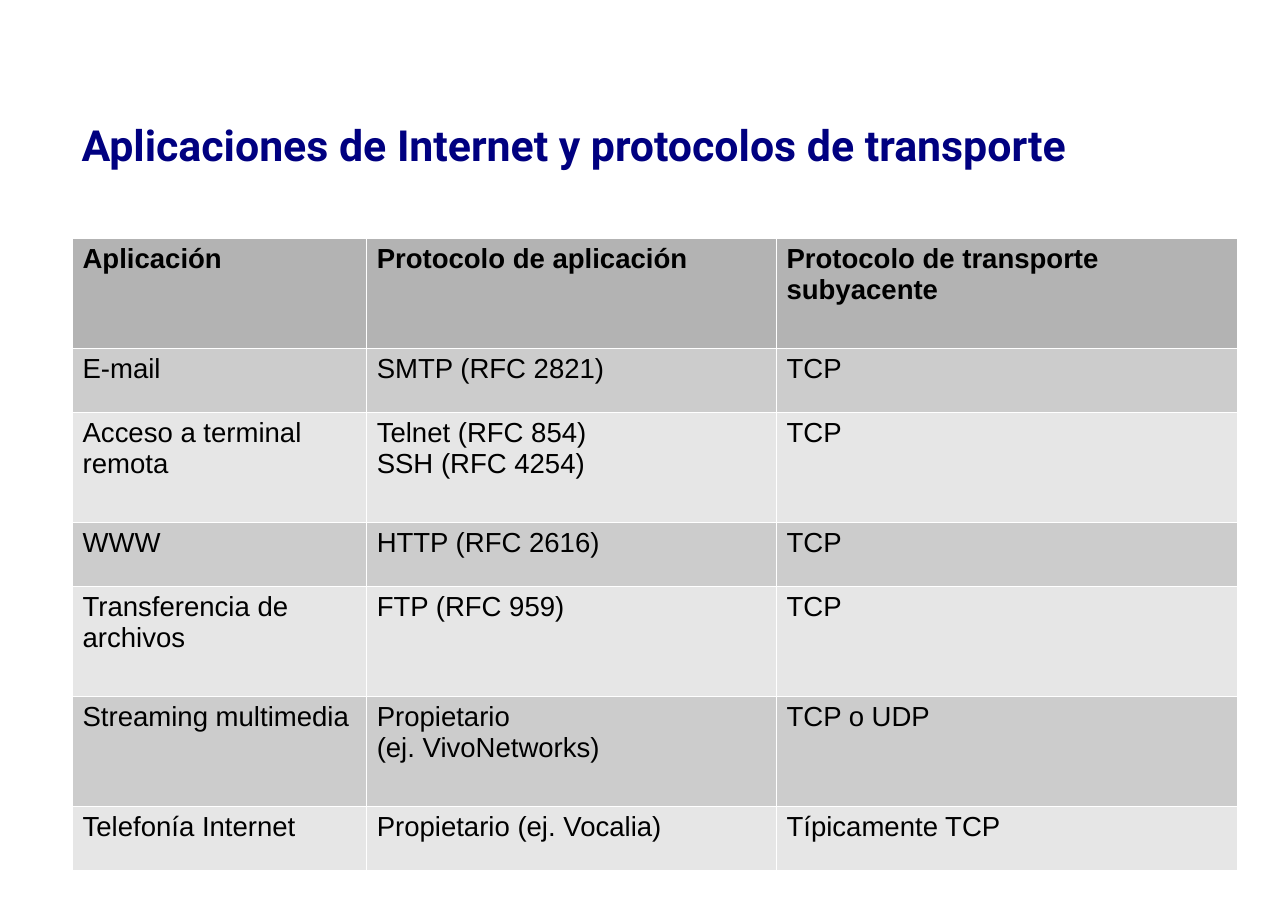
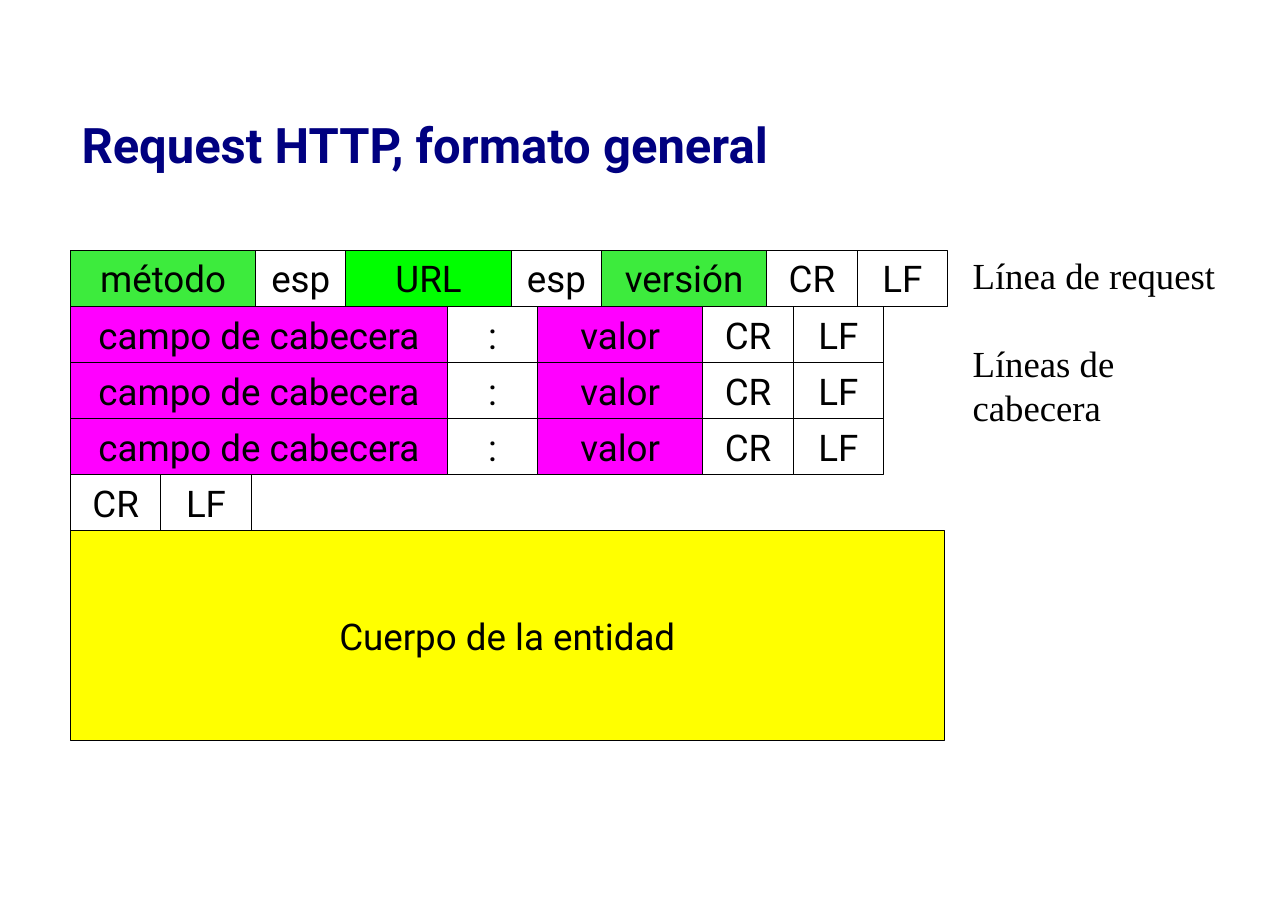
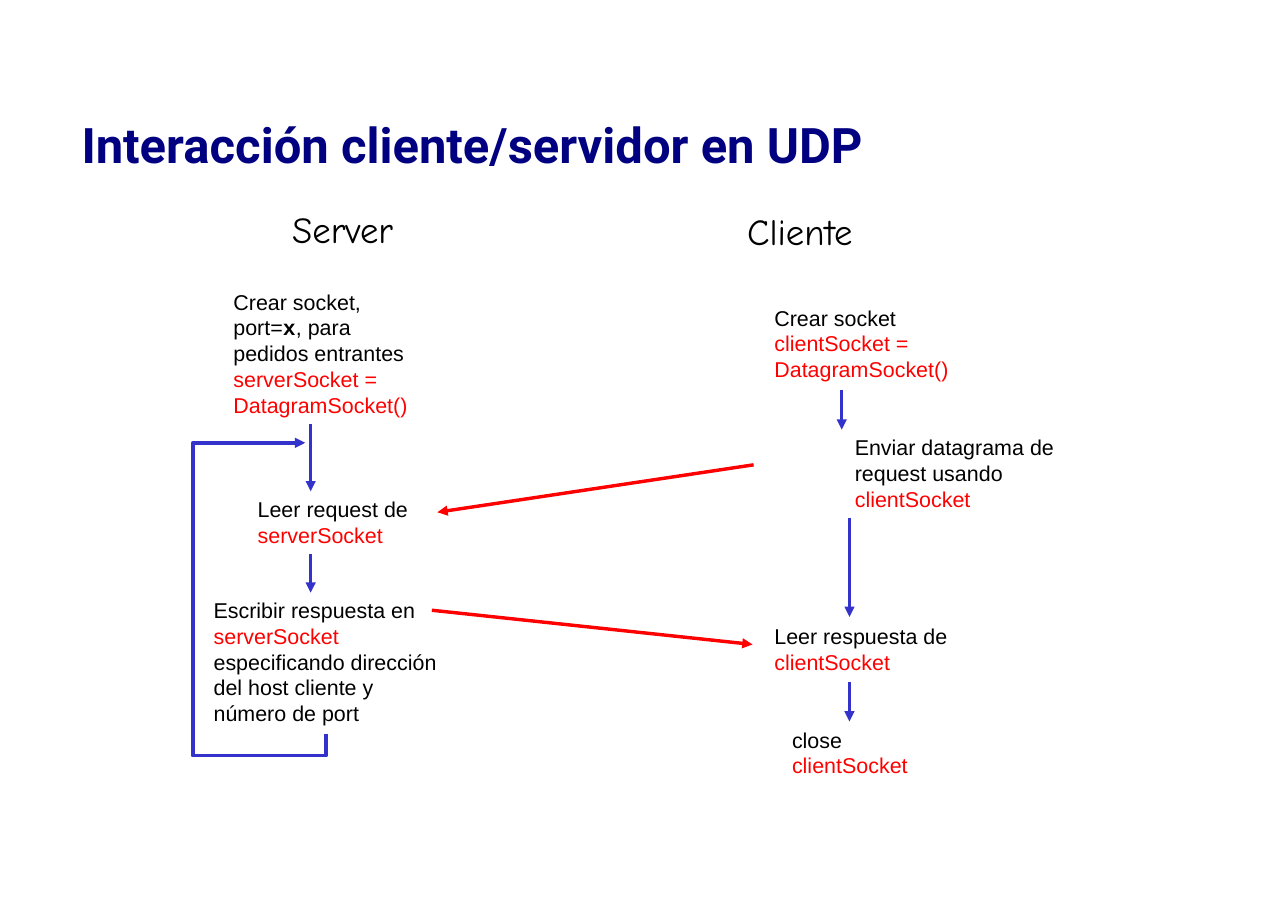
from typing import NamedTuple

from lxml.etree import SubElement
from pptx import Presentation
from pptx.dml.color import RGBColor
from pptx.enum.shapes import MSO_CONNECTOR, MSO_SHAPE
from pptx.enum.text import MSO_ANCHOR, MSO_AUTO_SIZE, PP_ALIGN
from pptx.oxml.ns import qn
from pptx.util import Inches, Pt

WIDTH, HEIGHT = 11.69, 8.27
TITLE_ONLY = 5
TITLE_BOX = (0.64, 0.59, 10.5, 1.44)
NAVY, BLACK, WHITE, RED, BLUE = "000080", "000000", "FFFFFF", "FF0000", "3333CC"
GREEN, LIME, MAGENTA, YELLOW = "3DEB3D", "00FF00", "FF00FF", "FFFF00"
TITLE_FONT, BODY_FONT = "Roboto", "Arial"
LABEL_FONT, HEADING_FONT = "Times New Roman", "Comic Neue"


class Run(NamedTuple):
    text: str
    color: str = BLACK
    font: str = BODY_FONT
    bold: bool = False


# Slide 1: protocol table
PROTOCOLS = [
    ("Aplicación", "Protocolo de aplicación", "Protocolo de transporte subyacente"),
    ("E-mail", "SMTP (RFC 2821)", "TCP"),
    ("Acceso a terminal remota", "Telnet (RFC 854)\nSSH (RFC 4254)", "TCP"),
    ("WWW", "HTTP (RFC 2616)", "TCP"),
    ("Transferencia de archivos", "FTP (RFC 959)", "TCP"),
    ("Streaming multimedia", "Propietario\n(ej. VivoNetworks)", "TCP o UDP"),
    ("Telefonía Internet", "Propietario (ej. Vocalia)", "Típicamente TCP"),
]
TABLE_LEFT, TABLE_TOP = 0.65, 2.16
COLUMN_WIDTHS = (2.67, 3.72, 4.19)
TALL, SHORT = 1, 0.58
ROW_HEIGHTS = (TALL, SHORT, TALL, SHORT, TALL, TALL, SHORT)
HEADER_FILL, BAND_FILLS = "B3B3B3", ("E6E6E6", "CCCCCC")

# Slide 2: message fields as (text, width, fill)
GRID_LEFT, GRID_TOP, FIELD_HEIGHT = 0.64, 2.27, 0.51
NARROW, MEDIUM = 0.82, 1.5
SPACE = ("esp", NARROW, None)
LINE_END = [("CR", NARROW, None), ("LF", NARROW, None)]
HEADER_LINE = [("campo de cabecera", 3.42, MAGENTA), (":", NARROW, None),
               ("valor", MEDIUM, MAGENTA)] + LINE_END
MESSAGE = [
    [("método", 1.68, GREEN), SPACE, ("URL", MEDIUM, LIME), SPACE,
     ("versión", MEDIUM, GREEN)] + LINE_END,
    HEADER_LINE, HEADER_LINE, HEADER_LINE,
    LINE_END,
]
ENTITY_BODY = ("Cuerpo de la entidad", 7.93, YELLOW)
ENTITY_HEIGHT = 1.9
LABEL_LEFT, LABEL_WIDTH = 8.73, 2.6
LABELS = [(2.25, 0.56, ["Línea de request"]), (3.04, 1.02, ["Líneas de", "cabecera"])]

# Slide 3: headings as (centre, top, text); notes as (left, top, paragraphs of runs)
HEADINGS = [(3.11, 1.83, "Server"), (7.26, 1.85, "Cliente")]
HEADING_WIDTH, HEADING_HEIGHT = 1.5, 0.49
NOTE_WIDTH, NOTE_LINE, NOTE_PADDING = 2.45, 0.23, 0.1
SERVER_SOCKET, CLIENT_SOCKET = [Run("serverSocket", RED)], [Run("clientSocket", RED)]
CONSTRUCTOR = [Run("DatagramSocket()", RED)]
NOTES = [
    (2.02, 2.58, [[Run("Crear socket,")],
                  [Run("port="), Run("x", font="Courier New", bold=True), Run(", para")],
                  [Run("pedidos entrantes")],
                  [Run("serverSocket =", RED)], CONSTRUCTOR]),
    (2.24, 4.46, [[Run("Leer request de")], SERVER_SOCKET]),
    (1.84, 5.38, [[Run("Escribir respuesta en")], SERVER_SOCKET,
                  [Run("especificando dirección")], [Run("del host cliente y")],
                  [Run("número de port")]]),
    (6.93, 2.72, [[Run("Crear socket")], [Run("clientSocket =", RED)], CONSTRUCTOR]),
    (7.66, 3.9, [[Run("Enviar datagrama de")], [Run("request usando")], CLIENT_SOCKET]),
    (6.93, 5.61, [[Run("Leer respuesta de")], CLIENT_SOCKET]),
    (7.09, 6.55, [[Run("close")], CLIENT_SOCKET]),
]
# Vertical arrows as (x, top, bottom)
STEPS = [(2.82, 3.85, 4.46), (2.82, 5.03, 5.38),
         (7.64, 3.54, 3.9), (7.71, 4.7, 5.6), (7.71, 6.19, 6.55)]
DATAGRAMS = [((6.84, 4.22), (3.97, 4.65)), ((3.92, 5.54), (6.83, 5.85))]
SERVER_LOOP = [(2.96, 6.66), (2.96, 6.86), (1.75, 6.86), (1.75, 4.02), (2.77, 4.02)]


def rgb(color):
    return RGBColor.from_string(color)


def inches(values):
    return [Inches(value) for value in values]


def format_font(font, size, name=BODY_FONT, color=BLACK, bold=False):
    font.size, font.name, font.bold = Pt(size), name, bold
    font.color.rgb = rgb(color)


def add_titled_slide(presentation, text, size=32):
    slide = presentation.slides.add_slide(presentation.slide_layouts[TITLE_ONLY])
    title = slide.shapes.title
    title.left, title.top, title.width, title.height = inches(TITLE_BOX)
    frame = title.text_frame
    frame.text = text
    frame.auto_size = MSO_AUTO_SIZE.NONE
    frame.vertical_anchor = MSO_ANCHOR.MIDDLE
    paragraph = frame.paragraphs[0]
    paragraph.alignment = PP_ALIGN.LEFT
    format_font(paragraph.runs[0].font, size, TITLE_FONT, NAVY, True)
    return slide


def add_text(slide, box, paragraphs, size, anchor=MSO_ANCHOR.MIDDLE, align=PP_ALIGN.LEFT):
    frame = slide.shapes.add_textbox(*inches(box)).text_frame
    frame.word_wrap = True
    frame.vertical_anchor = anchor
    for index, runs in enumerate(paragraphs):
        paragraph = frame.add_paragraph() if index else frame.paragraphs[0]
        paragraph.alignment = align
        for part in runs:
            run = paragraph.add_run()
            run.text = part.text
            format_font(run.font, size, part.font, part.color, part.bold)


def add_cell_borders(cell):
    """Draw white hairlines; they must precede the fill in the cell properties."""
    properties = cell._tc.get_or_add_tcPr()
    for side in ("lnL", "lnR", "lnT", "lnB"):
        border = SubElement(properties, qn(f"a:{side}"), w=str(Pt(0.06)))
        fill = SubElement(border, qn("a:solidFill"))
        SubElement(fill, qn("a:srgbClr"), val=WHITE)


def add_protocol_table(slide):
    table = slide.shapes.add_table(
        len(PROTOCOLS), len(COLUMN_WIDTHS),
        *inches((TABLE_LEFT, TABLE_TOP, sum(COLUMN_WIDTHS), sum(ROW_HEIGHTS)))).table
    for column, width in zip(table.columns, COLUMN_WIDTHS):
        column.width = Inches(width)
    for row_index, (row, height) in enumerate(zip(table.rows, ROW_HEIGHTS)):
        row.height = Inches(height)
        is_header = row_index == 0
        for cell, text in zip(row.cells, PROTOCOLS[row_index]):
            cell.text = text
            add_cell_borders(cell)
            cell.fill.solid()
            cell.fill.fore_color.rgb = rgb(
                HEADER_FILL if is_header else BAND_FILLS[row_index % 2])
            for paragraph in cell.text_frame.paragraphs:
                format_font(paragraph.runs[0].font, 18, bold=is_header)


def add_field(slide, left, top, height, field):
    text, width, fill = field
    shape = slide.shapes.add_shape(MSO_SHAPE.RECTANGLE, *inches((left, top, width, height)))
    shape.shadow.inherit = False
    if fill:
        shape.fill.solid()
        shape.fill.fore_color.rgb = rgb(fill)
    else:
        shape.fill.background()
    shape.line.color.rgb = rgb(BLACK)
    shape.line.width = Pt(0)
    frame = shape.text_frame
    frame.text = text
    frame.vertical_anchor = MSO_ANCHOR.MIDDLE
    paragraph = frame.paragraphs[0]
    paragraph.alignment = PP_ALIGN.CENTER
    format_font(paragraph.runs[0].font, 24, TITLE_FONT)


def add_message(slide):
    top = GRID_TOP
    for fields in MESSAGE:
        left = GRID_LEFT
        for field in fields:
            add_field(slide, left, top, FIELD_HEIGHT, field)
            left += field[1]
        top += FIELD_HEIGHT
    add_field(slide, GRID_LEFT, top, ENTITY_HEIGHT, ENTITY_BODY)
    for top, height, lines in LABELS:
        add_text(slide, (LABEL_LEFT, top, LABEL_WIDTH, height),
                 [[Run(line, font=LABEL_FONT)] for line in lines], 24, MSO_ANCHOR.TOP)


def format_arrow(line, color):
    line.color.rgb = rgb(color)
    line.width = Pt(2.25)
    SubElement(line._get_or_add_ln(), qn("a:tailEnd"), type="triangle")


def add_arrow(slide, start, end, color):
    connector = slide.shapes.add_connector(MSO_CONNECTOR.STRAIGHT, *inches(start + end))
    format_arrow(connector.line, color)
    SubElement(connector._element.spPr, qn("a:effectLst"))


def add_server_loop(slide):
    points = [inches(point) for point in SERVER_LOOP]
    builder = slide.shapes.build_freeform(*points[0])
    builder.add_line_segments(points[1:], close=False)
    loop = builder.convert_to_shape()
    loop.shadow.inherit = False
    loop.fill.background()
    format_arrow(loop.line, BLUE)


def add_interaction(slide):
    add_server_loop(slide)
    for centre, top, text in HEADINGS:
        add_text(slide, (centre - HEADING_WIDTH / 2, top, HEADING_WIDTH, HEADING_HEIGHT),
                 [[Run(text, font=HEADING_FONT)]], 24, align=PP_ALIGN.CENTER)
    for left, top, paragraphs in NOTES:
        height = len(paragraphs) * NOTE_LINE + NOTE_PADDING
        add_text(slide, (left, top, NOTE_WIDTH, height), paragraphs, 14)
    for x, top, bottom in STEPS:
        add_arrow(slide, (x, top), (x, bottom), BLUE)
    for start, end in DATAGRAMS:
        add_arrow(slide, start, end, RED)


def main():
    presentation = Presentation()
    presentation.slide_width, presentation.slide_height = inches((WIDTH, HEIGHT))
    add_protocol_table(add_titled_slide(
        presentation, "Aplicaciones de Internet y protocolos de transporte", 28))
    add_message(add_titled_slide(presentation, "Request HTTP, formato general"))
    add_interaction(add_titled_slide(presentation, "Interacción cliente/servidor en UDP"))
    presentation.save("out.pptx")


if __name__ == "__main__":
    main()
